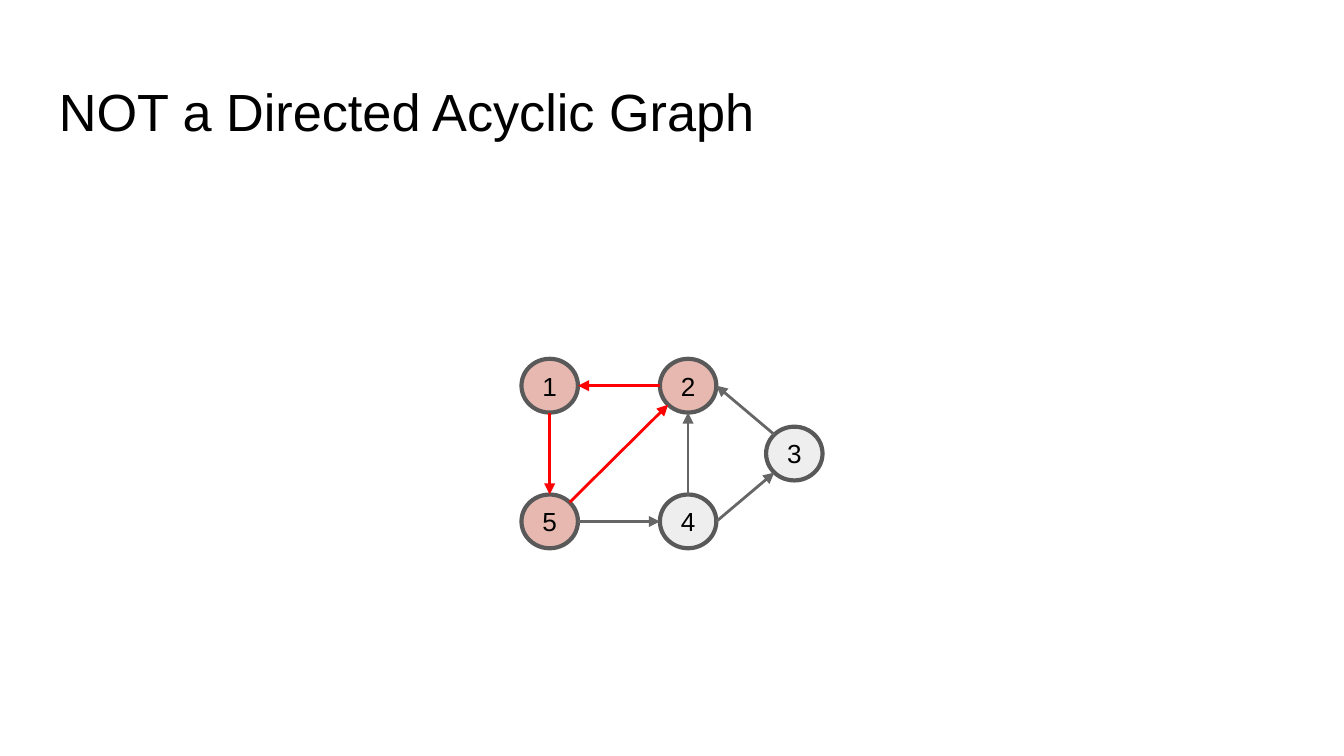
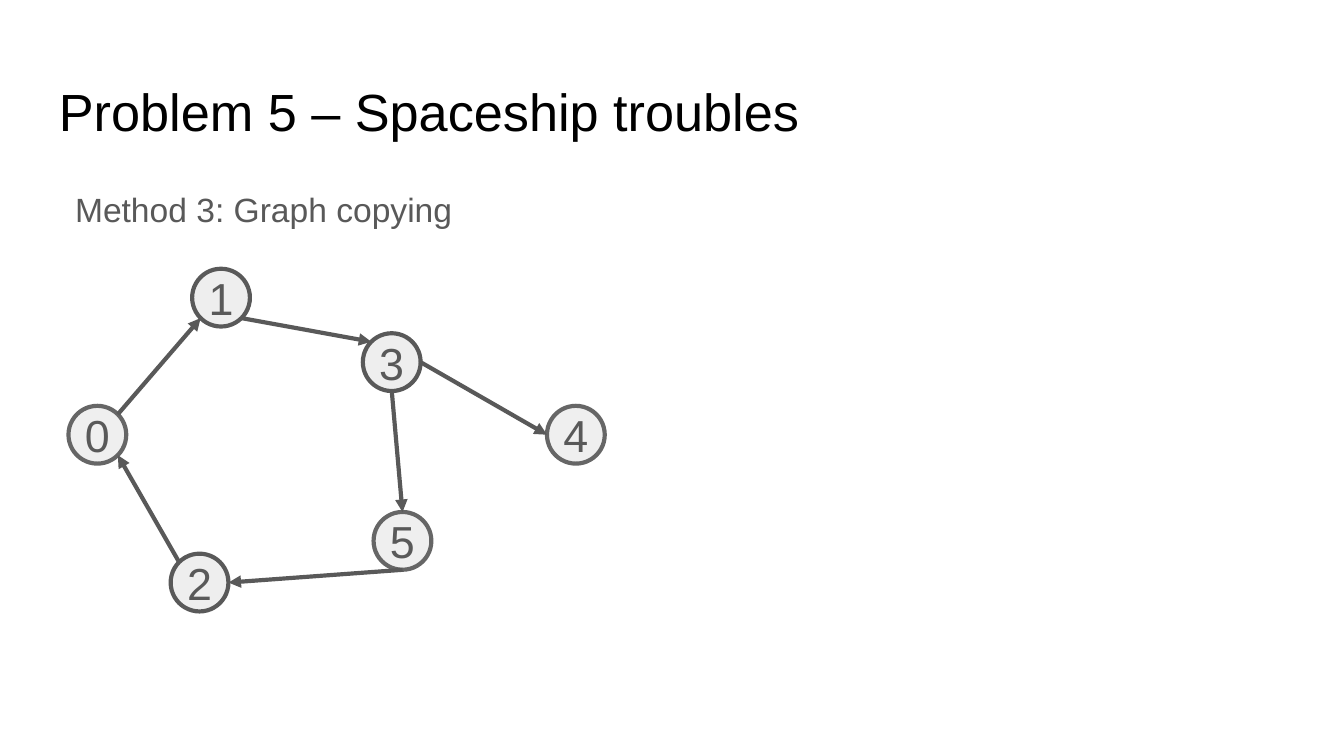
from dataclasses import dataclass
from math import cos, pi, sin

from lxml.etree import SubElement
from pptx import Presentation
from pptx.dml.color import RGBColor
from pptx.enum.shapes import MSO_CONNECTOR, MSO_SHAPE
from pptx.enum.text import MSO_ANCHOR, PP_ALIGN
from pptx.oxml.ns import qn
from pptx.util import Inches, Pt

SLIDE_WIDTH, SLIDE_HEIGHT = Inches(10), Inches(5.625)
CELL = SLIDE_WIDTH / 100
MARGIN, CONTENT_WIDTH = 3.4, 93.2
SITES = ["top", "top left", "left", "bottom left",
         "bottom", "bottom right", "right", "top right"]


@dataclass(frozen=True)
class Theme:
    font: str = "Arial"
    ink: str = "000000"
    dark: str = "595959"
    gray: str = "666666"
    light: str = "EEEEEE"
    pale: str = "EFEFEF"
    rose: str = "E6B8AF"
    red: str = "FF0000"
    title_size: int = 28
    body_size: int = 18
    small_label: int = 14
    large_label: int = 24
    outline: float = 2.25
    thin: float = 1.5


THEME = Theme()


def grid(cells):
    return round(cells * CELL)


def style_font(para, size, color):
    para.font.name = THEME.font
    para.font.size = Pt(size)
    para.font.color.rgb = RGBColor.from_string(color)


def style_line(line, color, width):
    line.color.rgb = RGBColor.from_string(color)
    line.width = Pt(width)


def add_text(page, text, top, height, size, color, indent=0, spacing=1.0):
    box = page.shapes.add_textbox(*map(grid, (MARGIN, top, CONTENT_WIDTH, height)))
    frame = box.text_frame
    frame.word_wrap = True
    frame.margin_left = frame.margin_right = grid(1)
    frame.margin_top = frame.margin_bottom = grid(1)
    para = frame.paragraphs[0]
    para.text = text
    para.line_spacing = spacing
    if indent:
        para._p.get_or_add_pPr().set("marL", str(grid(indent)))
    style_font(para, size, color)


def add_page(deck, title):
    page = deck.slides.add_slide(deck.slide_layouts[6])
    add_text(page, title, 4.9, 6.3, THEME.title_size, THEME.ink)
    return page


def add_node(page, label, left, top, size, fill, outline, label_size, label_color):
    node = page.shapes.add_shape(MSO_SHAPE.OVAL, *map(grid, (left, top, *size)))
    node.shadow.inherit = False
    node.fill.solid()
    node.fill.fore_color.rgb = RGBColor.from_string(fill)
    style_line(node.line, outline, THEME.outline)
    frame = node.text_frame
    frame.margin_left = frame.margin_right = 0
    frame.margin_top = frame.margin_bottom = 0
    frame.vertical_anchor = MSO_ANCHOR.MIDDLE
    para = frame.paragraphs[0]
    para.text = label
    para.alignment = PP_ALIGN.CENTER
    style_font(para, label_size, label_color)
    return node


def site_point(node, site):
    angle = SITES.index(site) * pi / 4
    return (round(node.left + node.width * (1 - sin(angle)) / 2),
            round(node.top + node.height * (1 - cos(angle)) / 2))


def add_edge(page, source, source_site, target, target_site, color, width):
    edge = page.shapes.add_connector(
        MSO_CONNECTOR.STRAIGHT,
        *site_point(source, source_site), *site_point(target, target_site))
    style_line(edge.line, color, width)
    SubElement(edge.line._get_or_add_ln(), qn("a:tailEnd"), type="triangle")
    SubElement(edge._element.spPr, qn("a:effectLst"))
    joints = edge._element.find(".//" + qn("p:cNvCxnSpPr"))
    for tag, node, site in (("a:stCxn", source, source_site),
                            ("a:endCxn", target, target_site)):
        SubElement(joints, qn(tag), id=str(node.shape_id), idx=str(SITES.index(site)))


def add_cyclic_graph(page):
    left, top, column, row = 38.8, 26.7, 10.3, 10.1
    places = {
        "1": (left, top),
        "5": (left, top + row),
        "2": (left + column, top),
        "4": (left + column, top + row),
        "3": (57, top + row / 2),
    }
    cycle = "125"
    nodes = {
        label: add_node(page, label, *place, (4.2, 4),
                        THEME.rose if label in cycle else THEME.light,
                        THEME.dark, THEME.small_label, THEME.ink)
        for label, place in places.items()
    }
    edges = [
        ("2", "left", "1", "right"),
        ("1", "bottom", "5", "top"),
        ("5", "top right", "2", "bottom left"),
        ("5", "right", "4", "left"),
        ("4", "top", "2", "bottom"),
        ("4", "right", "3", "bottom left"),
        ("3", "top left", "2", "right"),
    ]
    for source, leaving, target, entering in edges:
        in_cycle = source in cycle and target in cycle
        add_edge(page, nodes[source], leaving, nodes[target], entering,
                 THEME.red if in_cycle else THEME.gray, THEME.thin)


def add_spaceship_graph(page):
    places = {
        "0": (5.1, 30.2),
        "3": (27, 24.8),
        "1": (14.3, 20),
        "2": (12.7, 41.2),
        "4": (40.7, 30.2),
        "5": (27.8, 38.1),
    }
    nodes = {}
    for label, place in places.items():
        fill, outline = ((THEME.pale, THEME.gray) if label in "045"
                         else (THEME.light, THEME.dark))
        nodes[label] = add_node(page, label, *place, (4.3, 4.3), fill, outline,
                                THEME.large_label, THEME.dark)
    edges = [
        ("0", "top right", "1", "bottom left"),
        ("1", "bottom right", "3", "top left"),
        ("3", "right", "4", "left"),
        ("2", "top left", "0", "bottom right"),
        ("5", "bottom", "2", "right"),
        ("3", "bottom", "5", "top"),
    ]
    for source, leaving, target, entering in edges:
        add_edge(page, nodes[source], leaving, nodes[target], entering,
                 THEME.dark, THEME.outline)


def main():
    deck = Presentation()
    deck.slide_width, deck.slide_height = SLIDE_WIDTH, SLIDE_HEIGHT
    add_cyclic_graph(add_page(deck, "NOT a Directed Acyclic Graph"))
    page = add_page(deck, "Problem 5 – Spaceship troubles")
    add_text(page, "Method 3: Graph copying", 12.6, 37.4,
             THEME.body_size, THEME.dark, indent=1.2, spacing=1.15)
    add_spaceship_graph(page)
    deck.save("out.pptx")


if __name__ == "__main__":
    main()
